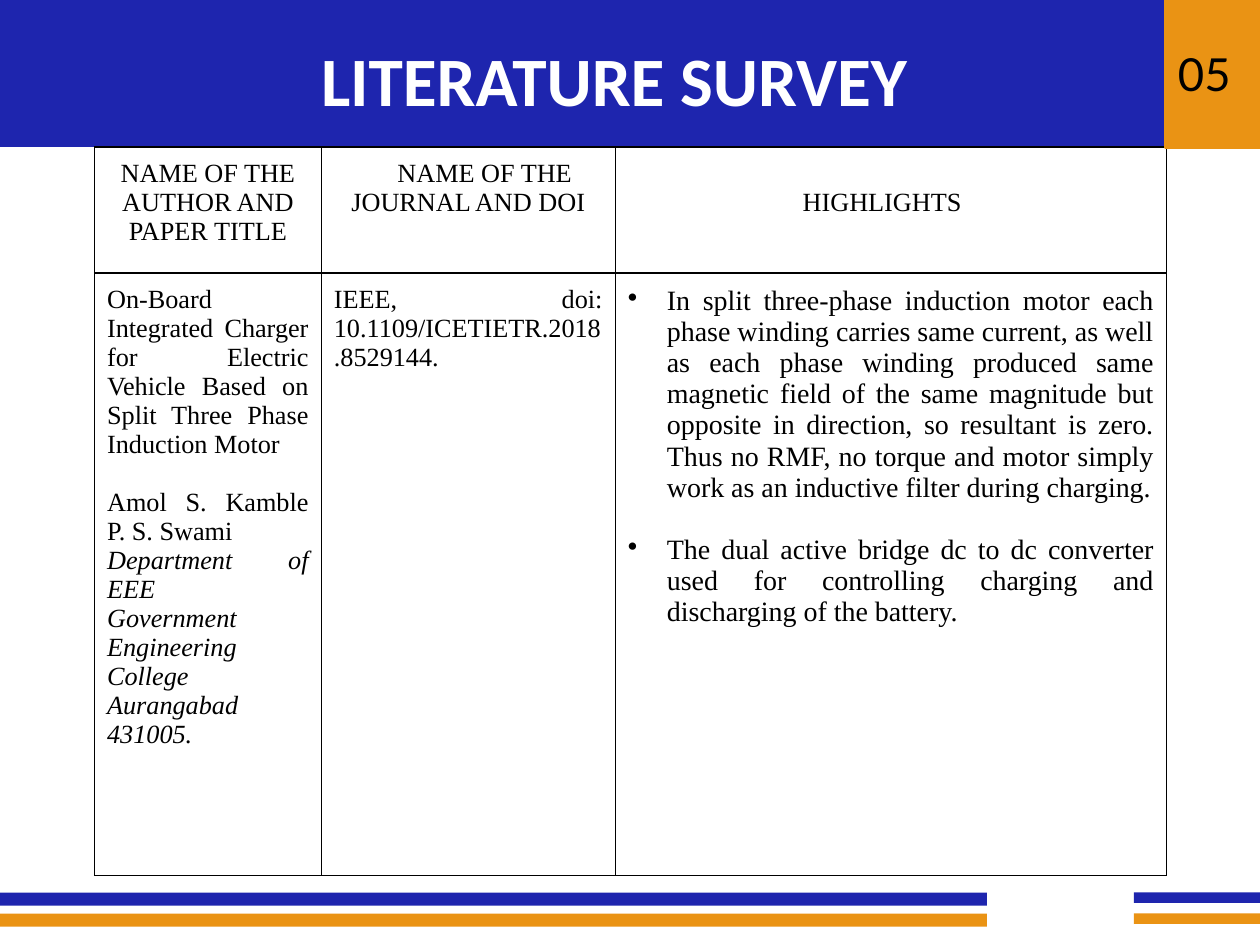
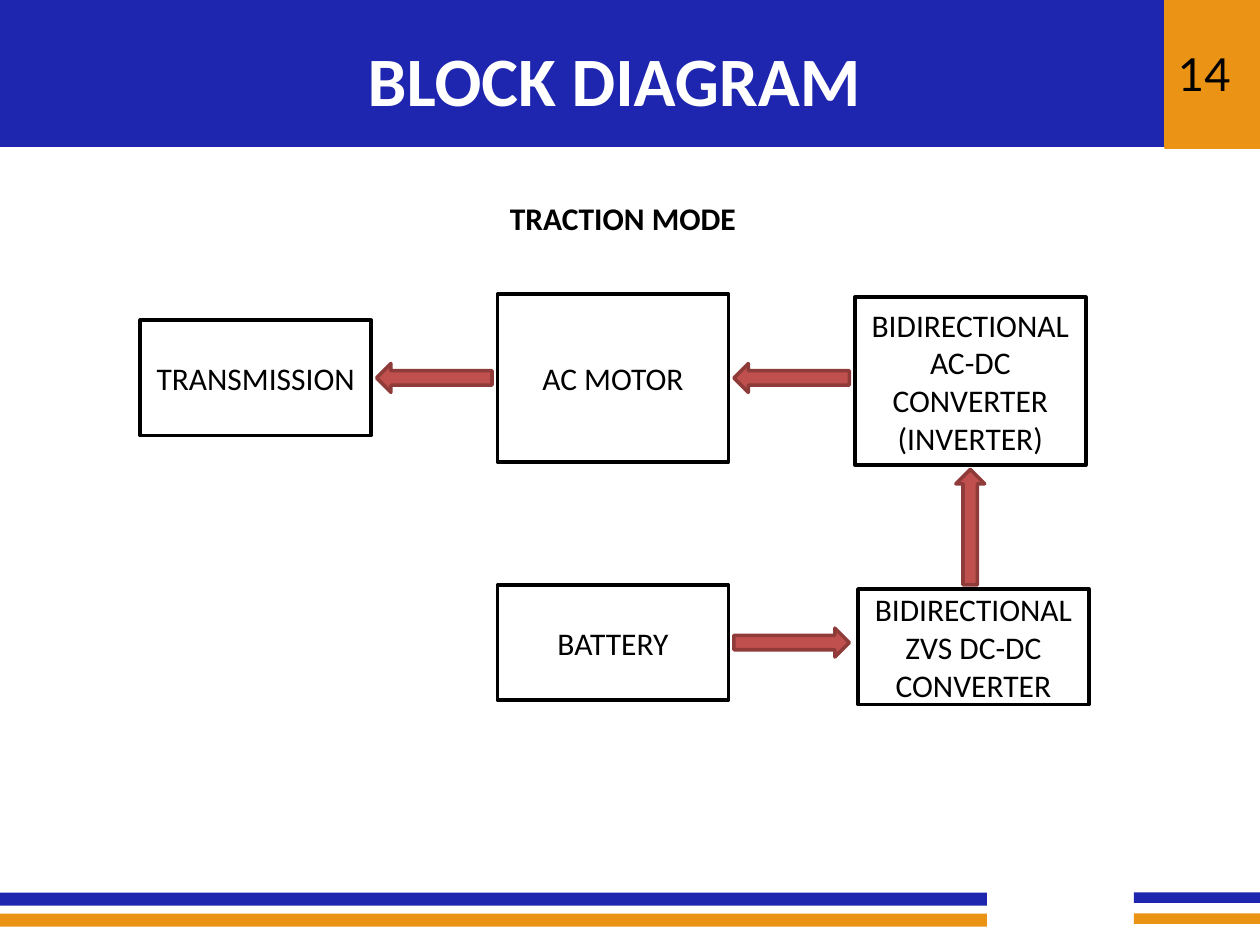
from lxml.etree import SubElement
from pptx import Presentation
from pptx.dml.color import RGBColor
from pptx.enum.shapes import MSO_SHAPE as Shape
from pptx.enum.text import MSO_ANCHOR as Anchor, PP_ALIGN as Align
from pptx.oxml import parse_xml
from pptx.oxml.ns import nsdecls, qn
from pptx.util import Inches, Pt

COLORS = {
    "blue": "1E25AE",
    "orange": "EA9314",
    "white": "FFFFFF",
    "black": "000000",
    "red": "C0504D",
    "dark_red": "8E3B39",
}
BLOCK_WIDTH, ARROW_LENGTH, ARROW_THICKNESS = 22, 11, 2.75


class Deck:
    columns, rows = 120, 90

    def __init__(self):
        self.presentation = Presentation()
        self.presentation.slide_width = Inches(10)
        self.presentation.slide_height = Inches(7.5)
        self.slide = None

    def x(self, columns):
        return round(self.presentation.slide_width * columns / self.columns)

    def y(self, rows):
        return round(self.presentation.slide_height * rows / self.rows)

    def box(self, left, top, width, height):
        return self.x(left), self.y(top), self.x(width), self.y(height)

    def color(self, name):
        return RGBColor.from_string(COLORS[name])

    def font(self, paragraph, size, face="Calibri", color="black", bold=False, italic=False):
        font = paragraph.font
        font.size, font.name, font.bold, font.italic = Pt(size), face, bold, italic
        font.color.rgb = self.color(color)

    def fill_text(self, frame, lines, size, align=Align.LEFT, anchor=Anchor.MIDDLE, **style):
        frame.word_wrap = True
        frame.vertical_anchor = anchor
        frame.text = "\n".join(lines)
        for paragraph in frame.paragraphs:
            paragraph.alignment = align
            self.font(paragraph, size, **style)

    def shape(self, kind, place, fill, line=None):
        shape = self.slide.shapes.add_shape(kind, *self.box(*place))
        shape.shadow.inherit = False
        shape.fill.solid()
        shape.fill.fore_color.rgb = self.color(fill)
        if line:
            shape.line.color.rgb = self.color(line)
            shape.line.width = Pt(2)
        else:
            shape.line.fill.background()
        return shape

    def text(self, place, words, size, **style):
        label = self.slide.shapes.add_textbox(*self.box(*place))
        self.fill_text(label.text_frame, [words], size, **style)

    def start(self, title):
        self.slide = self.presentation.slides.add_slide(self.presentation.slide_layouts[6])
        self.shape(Shape.RECTANGLE, (0, 0, 120, 14), "blue")
        for left, width, thickness in ((0, 94, 1.25), (108, 12, 1)):
            for top, color in ((85, "blue"), (87, "orange")):
                self.shape(Shape.RECTANGLE, (left, top, width, thickness), color)
        self.text((6, 3, 105, 9), title, 39.6, align=Align.CENTER, color="white", bold=True)

    def page_number(self, number):
        tile = self.shape(Shape.RECTANGLE, (111, 0, 9, 14), "orange", "orange")
        self.fill_text(tile.text_frame, [number], 26, face="Lato")

    def block(self, left, middle, height, lines):
        place = (left, middle - height / 2, BLOCK_WIDTH, height)
        block = self.shape(Shape.RECTANGLE, place, "white", "black")
        self.fill_text(block.text_frame, lines, 18, align=Align.CENTER)

    def arrow(self, kind, center, middle):
        width, height = ARROW_LENGTH, ARROW_THICKNESS
        if kind == Shape.UP_ARROW:
            width, height = height, width
        self.shape(kind, (center - width / 2, middle - height / 2, width, height), "red", "dark_red")

    def table(self, left, top, widths, heights):
        frame = self.slide.shapes.add_table(
            len(heights), len(widths), *self.box(left, top, sum(widths), sum(heights)))
        table = frame.table
        table.first_row = table.horz_banding = False
        for column, width in zip(table.columns, widths):
            column.width = self.x(width)
        for row, height in zip(table.rows, heights):
            row.height = self.y(height)
        return table

    def cell(self, cell, lines, size, align):
        cell.margin_left = cell.margin_right = cell.margin_top = cell.margin_bottom = Inches(0.1)
        cell.fill.solid()
        cell.fill.fore_color.rgb = self.color("white")
        properties = cell._tc.get_or_add_tcPr()
        for index, side in enumerate("LRTB"):
            properties.insert(index, parse_xml(
                f'<a:ln{side} {nsdecls("a")} w="12700"><a:solidFill>'
                f'<a:srgbClr val="{COLORS["black"]}"/></a:solidFill></a:ln{side}>'))
        cell.vertical_anchor = Anchor.TOP
        cell.text = "\n".join(lines)
        for paragraph in cell.text_frame.paragraphs:
            paragraph.alignment = align
            self.font(paragraph, size, face="Times New Roman")
        return cell.text_frame.paragraphs

    def indent(self, paragraph, margin, first_line):
        properties = paragraph._p.get_or_add_pPr()
        properties.set("marL", str(Inches(margin)))
        properties.set("indent", str(Inches(first_line)))
        return properties

    def bullet(self, paragraph):
        properties = self.indent(paragraph, 0.31, -0.31)
        bullet = SubElement(properties, qn("a:buChar"))
        bullet.set("char", "•")
        defaults = properties.find(qn("a:defRPr"))
        if defaults is not None:
            defaults.addprevious(bullet)


def literature_survey(deck):
    deck.start("LITERATURE SURVEY")
    survey = deck.table(9, 14, (21.6, 28, 52.5), (12, 57.4))

    headings = ("NAME OF THE AUTHOR AND PAPER TITLE", "NAME OF THE JOURNAL AND DOI", "HIGHLIGHTS")
    for column, heading in enumerate(headings):
        paragraphs = deck.cell(survey.cell(0, column), [heading], 15, Align.CENTER)
        if heading.startswith("NAME OF THE JOURNAL"):
            deck.indent(paragraphs[0], 0, 0.26)
    highlights_heading = survey.cell(0, 2)
    highlights_heading.margin_top = Inches(0.33)
    highlights_heading.margin_right = Inches(0.24)

    paper = deck.cell(survey.cell(1, 0), [
        "On-Board Integrated Charger for Electric Vehicle Based on Split Three Phase Induction Motor",
        "Amol S. Kamble P. S. Swami",
        "Department of EEE",
        "Government Engineering College",
        "Aurangabad 431005.",
    ], 15, Align.JUSTIFY)
    paper[1].space_before = Pt(16.6)
    for affiliation in paper[2:]:
        affiliation.font.italic = True

    deck.cell(survey.cell(1, 1), ["IEEE, doi: 10.1109/ICETIETR.2018.8529144."], 15, Align.JUSTIFY)

    highlights = deck.cell(survey.cell(1, 2), [
        "In split three-phase induction motor each phase winding carries same current, as well as "
        "each phase winding produced same magnetic field of the same magnitude but opposite in "
        "direction, so resultant is zero. Thus no RMF, no torque and motor simply work as an "
        "inductive filter during charging.",
        "The dual active bridge dc to dc converter used for controlling charging and discharging "
        "of the battery.",
    ], 16, Align.JUSTIFY)
    highlights[1].space_before = Pt(17.7)
    for highlight in highlights:
        deck.bullet(highlight)
    deck.page_number("05")


def block_diagram(deck):
    deck.start("BLOCK DIAGRAM")
    transmission, motor, converter = (13.35 + 34.03 * step for step in range(3))
    drive, supply = 36, 61.2
    deck.block(transmission, drive, 11, ["TRANSMISSION"])
    deck.block(motor, drive, 16, ["AC MOTOR"])
    deck.block(converter, drive + 0.3, 16, ["BIDIRECTIONAL AC-DC CONVERTER", "(INVERTER)"])
    deck.block(converter + 0.3, supply + 0.4, 11, ["BIDIRECTIONAL ZVS DC-DC CONVERTER"])
    deck.block(motor, supply, 11, ["BATTERY"])

    motor_gap = (motor + BLOCK_WIDTH + converter) / 2
    deck.arrow(Shape.LEFT_ARROW, (transmission + BLOCK_WIDTH + motor) / 2, drive)
    deck.arrow(Shape.LEFT_ARROW, motor_gap, drive)
    deck.arrow(Shape.UP_ARROW, converter + BLOCK_WIDTH / 2, 50.2)
    deck.arrow(Shape.RIGHT_ARROW, motor_gap, supply)
    deck.text((motor, 18.4, 48, 4.8), "TRACTION MODE", 18, anchor=Anchor.TOP, bold=True)
    deck.page_number("14")


def main():
    deck = Deck()
    literature_survey(deck)
    block_diagram(deck)
    deck.presentation.save("out.pptx")


if __name__ == "__main__":
    main()
